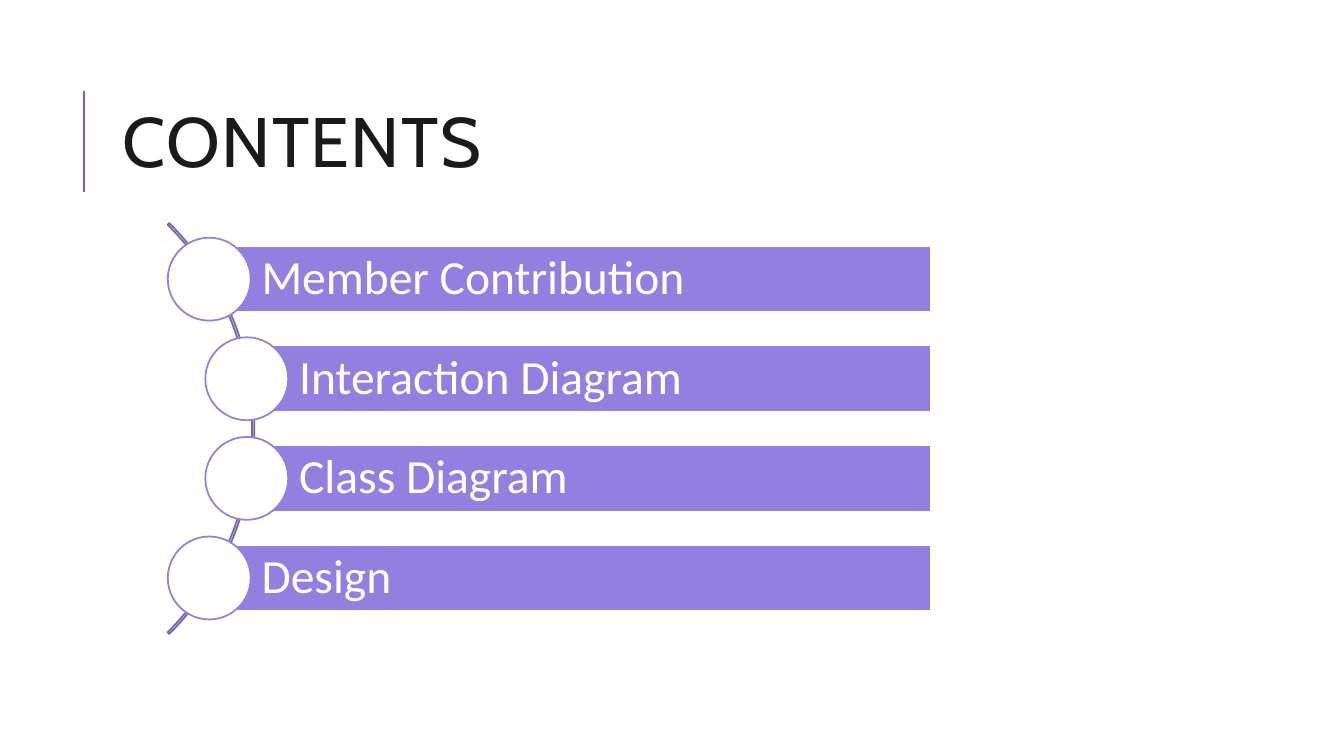
from dataclasses import dataclass
from math import sqrt

from lxml.etree import SubElement
from pptx import Presentation
from pptx.dml.color import RGBColor
from pptx.enum.shapes import MSO_CONNECTOR, MSO_SHAPE
from pptx.enum.text import MSO_ANCHOR, MSO_AUTO_SIZE, PP_ALIGN
from pptx.oxml.ns import qn
from pptx.util import Cm, Pt


@dataclass(frozen=True)
class Theme:
    """Colours, fonts and sizes of the slide."""

    white: RGBColor = RGBColor.from_string("FFFFFF")
    ink: RGBColor = RGBColor.from_string("1A1A1A")
    bar: RGBColor = RGBColor.from_string("927FE0")
    rule: RGBColor = RGBColor.from_string("755DD9")
    arc: RGBColor = RGBColor.from_string("7566B3")
    title_font: str = "Cabin"
    body_font: str = "Calibri"
    title_size: Pt = Pt(50)
    body_size: Pt = Pt(34)
    outline: Pt = Pt(1.25)
    rule_width: Pt = Pt(1.5)


THEME = Theme()
TOPICS = ["Member Contribution", "Interaction Diagram", "Class Diagram", "Design"]
ARC_CENTRE_X, ARC_CENTRE_Y = -0.91, 10.8
ARC_RADIUS, BEAD_RADIUS = 7.32, 7.24
ROW_PITCH = 2.51
BAR_RIGHT, BAR_HEIGHT = 23.46, 1.67
CIRCLE_SIZE = 2.09


def format_paragraph(paragraph, font_name, size, color, line_spacing):
    """Left-align a paragraph and format its runs."""
    paragraph.alignment = PP_ALIGN.LEFT
    paragraph.line_spacing = line_spacing
    for run in paragraph.runs:
        run.font.name = font_name
        run.font.size = size
        run.font.color.rgb = color


def add_title(slide, text):
    """Fill and place the title placeholder."""
    title = slide.shapes.title
    title.left, title.top, title.width, title.height = Cm(2.84), Cm(1.63), Cm(27), Cm(4.17)
    frame = title.text_frame
    frame.text = text
    frame.auto_size = MSO_AUTO_SIZE.NONE
    frame.vertical_anchor = MSO_ANCHOR.MIDDLE
    paragraph = frame.paragraphs[0]
    format_paragraph(paragraph, THEME.title_font, THEME.title_size, THEME.ink, 0.8)
    paragraph.runs[0].font._element.set("spc", "100")


def add_rule(slide):
    """Draw the vertical rule beside the title."""
    rule = slide.shapes.add_connector(MSO_CONNECTOR.STRAIGHT, Cm(2.12), Cm(4.83), Cm(2.12), Cm(2.29))
    rule.line.color.rgb = THEME.rule
    rule.line.width = THEME.rule_width
    SubElement(rule._element.spPr, qn("a:effectLst"))


def add_outlined_shape(slide, kind, left, top, width, height, line_color, fill_color=None):
    """Add a flat preset shape, measured in centimetres."""
    shape = slide.shapes.add_shape(kind, Cm(left), Cm(top), Cm(width), Cm(height))
    shape.shadow.inherit = False
    shape.line.color.rgb = line_color
    shape.line.width = THEME.outline
    if fill_color is None:
        shape.fill.background()
    else:
        shape.fill.solid()
        shape.fill.fore_color.rgb = fill_color
    return shape


def add_arc(slide):
    """Draw the thin arc that threads the circles, from 315 to 45 degrees."""
    arc = add_outlined_shape(
        slide, MSO_SHAPE.BLOCK_ARC, ARC_CENTRE_X - ARC_RADIUS, ARC_CENTRE_Y - ARC_RADIUS,
        2 * ARC_RADIUS, 2 * ARC_RADIUS, THEME.arc)
    for index, value in enumerate((189, 27, 0.004)):
        arc.adjustments[index] = value


def add_topic(slide, text, offset):
    """Add a labelled bar and its circle at a vertical offset from the arc centre."""
    centre_x = ARC_CENTRE_X + sqrt(BEAD_RADIUS ** 2 - offset ** 2)
    centre_y = ARC_CENTRE_Y + offset
    bar = add_outlined_shape(
        slide, MSO_SHAPE.RECTANGLE, centre_x, centre_y - BAR_HEIGHT / 2,
        BAR_RIGHT - centre_x, BAR_HEIGHT, THEME.white, THEME.bar)
    frame = bar.text_frame
    frame.text = text
    frame.word_wrap = True
    frame.vertical_anchor = MSO_ANCHOR.MIDDLE
    frame.margin_left = Cm(1.32)
    frame.margin_top = frame.margin_right = frame.margin_bottom = Cm(0.23)
    format_paragraph(frame.paragraphs[0], THEME.body_font, THEME.body_size, THEME.white, 0.9)
    add_outlined_shape(
        slide, MSO_SHAPE.OVAL, centre_x - CIRCLE_SIZE / 2, centre_y - CIRCLE_SIZE / 2,
        CIRCLE_SIZE, CIRCLE_SIZE, THEME.bar, THEME.white)


def main():
    """Build the contents slide."""
    presentation = Presentation()
    presentation.slide_width, presentation.slide_height = Cm(33.87), Cm(19.05)
    slide = presentation.slides.add_slide(presentation.slide_layouts.get_by_name("Title Only"))
    add_rule(slide)
    add_title(slide, "CONTENTS")
    add_arc(slide)
    for index, topic in enumerate(TOPICS):
        add_topic(slide, topic, (index - (len(TOPICS) - 1) / 2) * ROW_PITCH)
    presentation.save("out.pptx")


if __name__ == "__main__":
    main()
